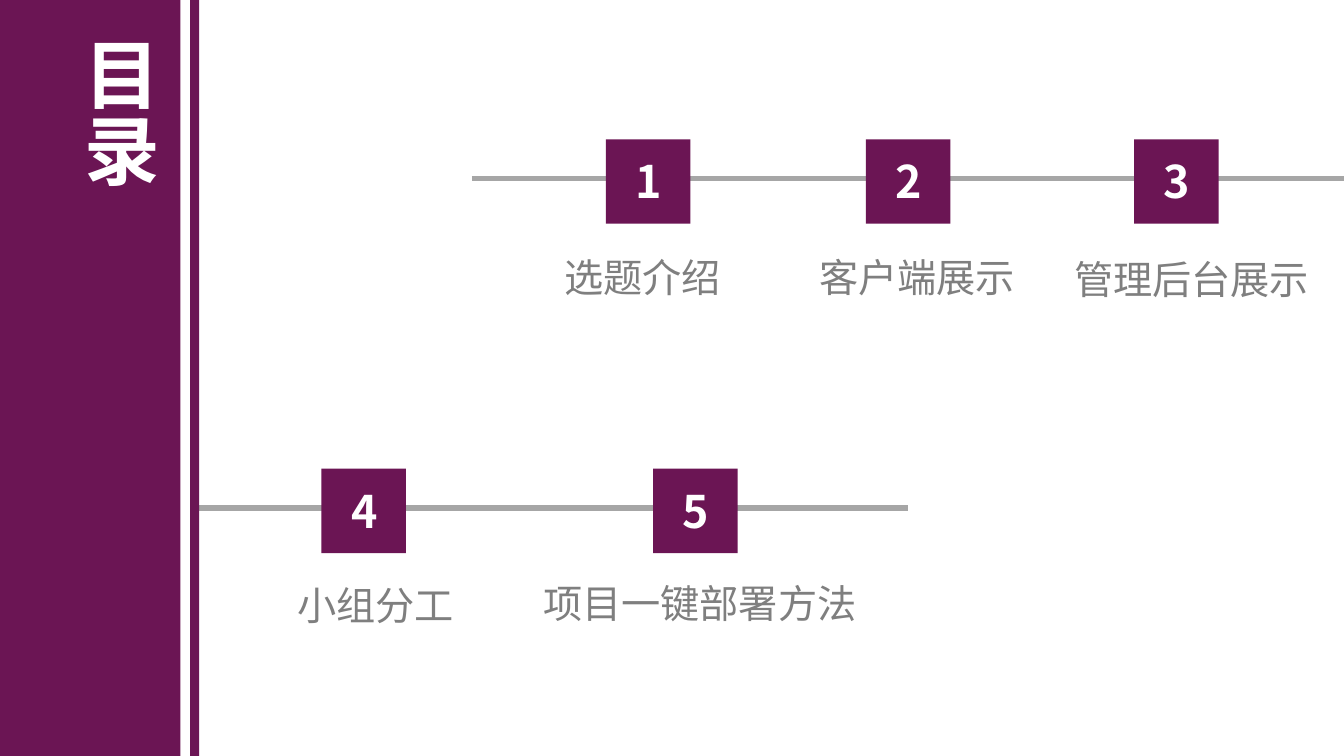
from lxml import etree
from pptx import Presentation
from pptx.dml.color import RGBColor
from pptx.enum.shapes import MSO_CONNECTOR, MSO_SHAPE
from pptx.enum.text import MSO_AUTO_SIZE, PP_ALIGN
from pptx.oxml.ns import qn
from pptx.util import Cm, Pt

RECTANGLE = MSO_SHAPE.RECTANGLE
STRAIGHT = MSO_CONNECTOR.STRAIGHT
GROW = MSO_AUTO_SIZE.SHAPE_TO_FIT_TEXT
LEFT, CENTER, JUSTIFY = PP_ALIGN.LEFT, PP_ALIGN.CENTER, PP_ALIGN.JUSTIFY

FONT = "Noto Sans CJK SC"
COLORS = {"plum": "6B1554", "rail": "A6A6A6", "label": "7F7F7F", "white": "FFFFFF"}
SLIDE_WIDTH, SLIDE_HEIGHT = 33.87, 19.05
SQUARE = 2.13

ROWS = [
    {
        "rail": (11.89, SLIDE_WIDTH, 4.5),
        "square_top": 3.51,
        "topics": [
            ("1", 15.27, "选题介绍", 13.97, 6.25),
            ("2", 21.82, "客户端展示", 20.4, 6.25),
            ("3", 28.58, "管理后台展示", 26.82, 6.32),
        ],
    },
    {
        "rail": (4.83, 22.89, 12.8),
        "square_top": 11.81,
        "topics": [
            ("4", 8.1, "小组分工", 7.24, 14.53),
            ("5", 16.46, "项目一键部署方法", 13.44, 14.48),
        ],
    },
]


class AgendaSlide:
    def __init__(self, slide):
        self.shapes = slide.shapes

    def color(self, name):
        return RGBColor.from_string(COLORS[name])

    def block(self, left, top, width, height, shapes=None):
        block = (shapes or self.shapes).add_shape(
            RECTANGLE, Cm(left), Cm(top), Cm(width), Cm(height))
        block.shadow.inherit = False
        block.fill.solid()
        block.fill.fore_color.rgb = self.color("plum")
        block.line.fill.background()

    def rail(self, start, end, y):
        rail = self.shapes.add_connector(STRAIGHT, Cm(start), Cm(y), Cm(end), Cm(y))
        rail.line.color.rgb = self.color("rail")
        rail.line.width = Pt(4)
        etree.SubElement(rail._element.spPr, qn("a:effectLst"))

    def text(self, words, left, top, width, height, size, color="white",
             bold=True, align=CENTER, wrap=True, shapes=None):
        box = (shapes or self.shapes).add_textbox(
            Cm(left), Cm(top), Cm(width), Cm(height))
        frame = box.text_frame
        frame.text = words
        frame.word_wrap = wrap
        frame.auto_size = GROW
        paragraph = frame.paragraphs[0]
        paragraph.alignment = align
        font = paragraph.runs[0].font
        font.size = Pt(size)
        font.bold = bold
        font.name = FONT
        font.color.rgb = self.color(color)
        east_asian = etree.SubElement(font._element, qn("a:ea"))
        east_asian.set("typeface", FONT)
        return frame

    def number(self, digit, left, top):
        group = self.shapes.add_group_shape()
        self.block(left, top, SQUARE, SQUARE, group.shapes)
        self.text(digit, left - 0.28, top + 0.25, 2.72, 1.63, 32, shapes=group.shapes)

    def topic(self, words, left, top):
        self.text(words, left, top, len(words) + 0.5, 1.45, 28, "label",
                  bold=False, align=LEFT, wrap=False)

    def title(self, words, left, top, width, height):
        frame = self.text(words, left, top, width, height, 54, align=JUSTIFY)
        frame._txBody.bodyPr.set("vert", "eaVert")


def main():
    deck = Presentation()
    deck.slide_width, deck.slide_height = Cm(SLIDE_WIDTH), Cm(SLIDE_HEIGHT)
    agenda = AgendaSlide(deck.slides.add_slide(deck.slide_layouts[6]))
    for row in ROWS:
        agenda.rail(*row["rail"])
        for digit, square_left, words, label_left, label_top in row["topics"]:
            agenda.number(digit, square_left, row["square_top"])
            agenda.topic(words, label_left, label_top)
    agenda.block(0, 0, 4.55, SLIDE_HEIGHT)
    agenda.block(4.79, 0, 0.23, SLIDE_HEIGHT)
    agenda.title("目录", 1.47, 0.69, 2.82, 4.88)
    deck.save("out.pptx")


if __name__ == "__main__":
    main()
